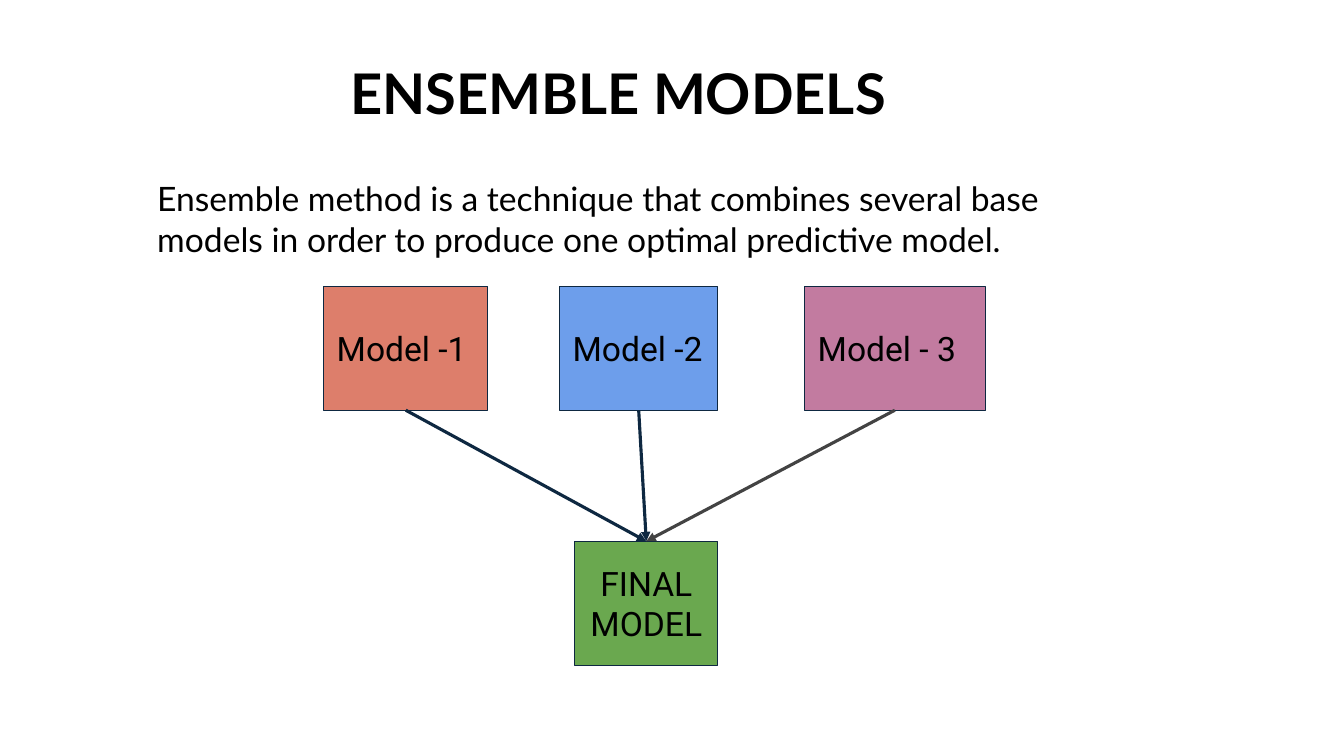
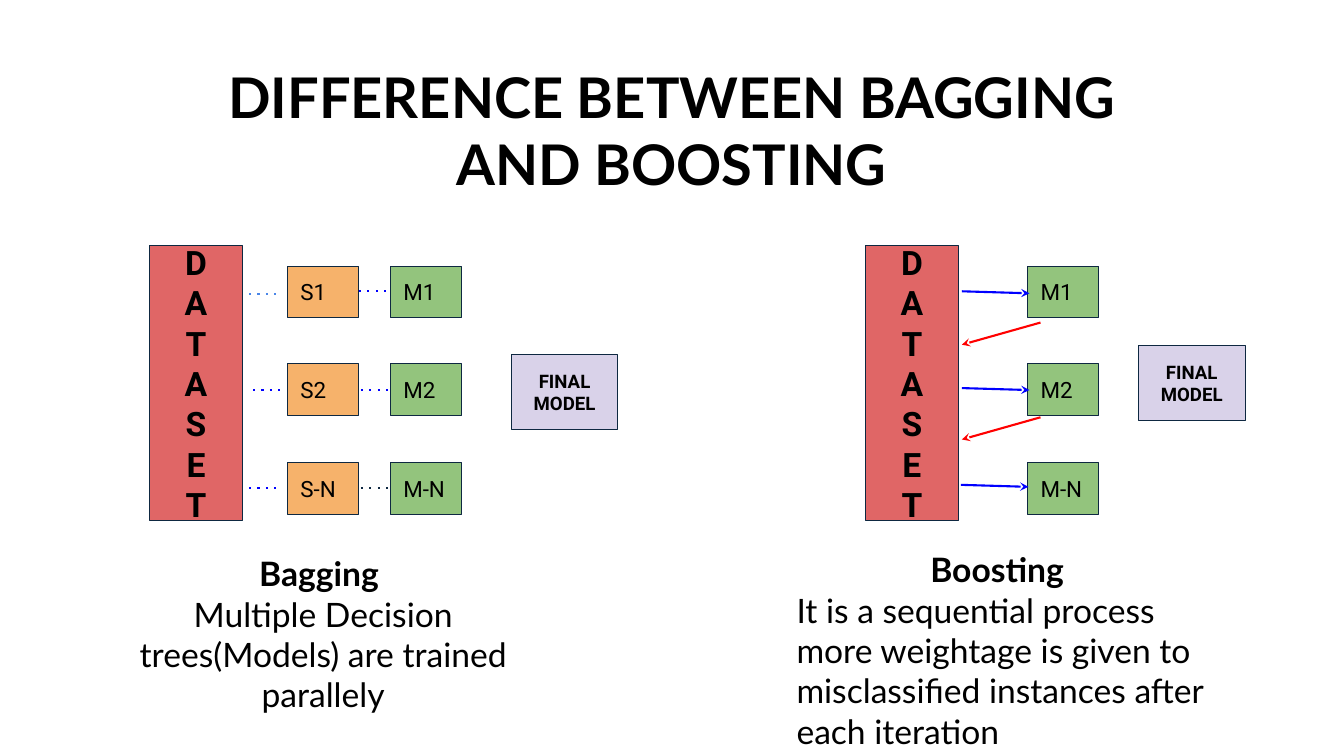
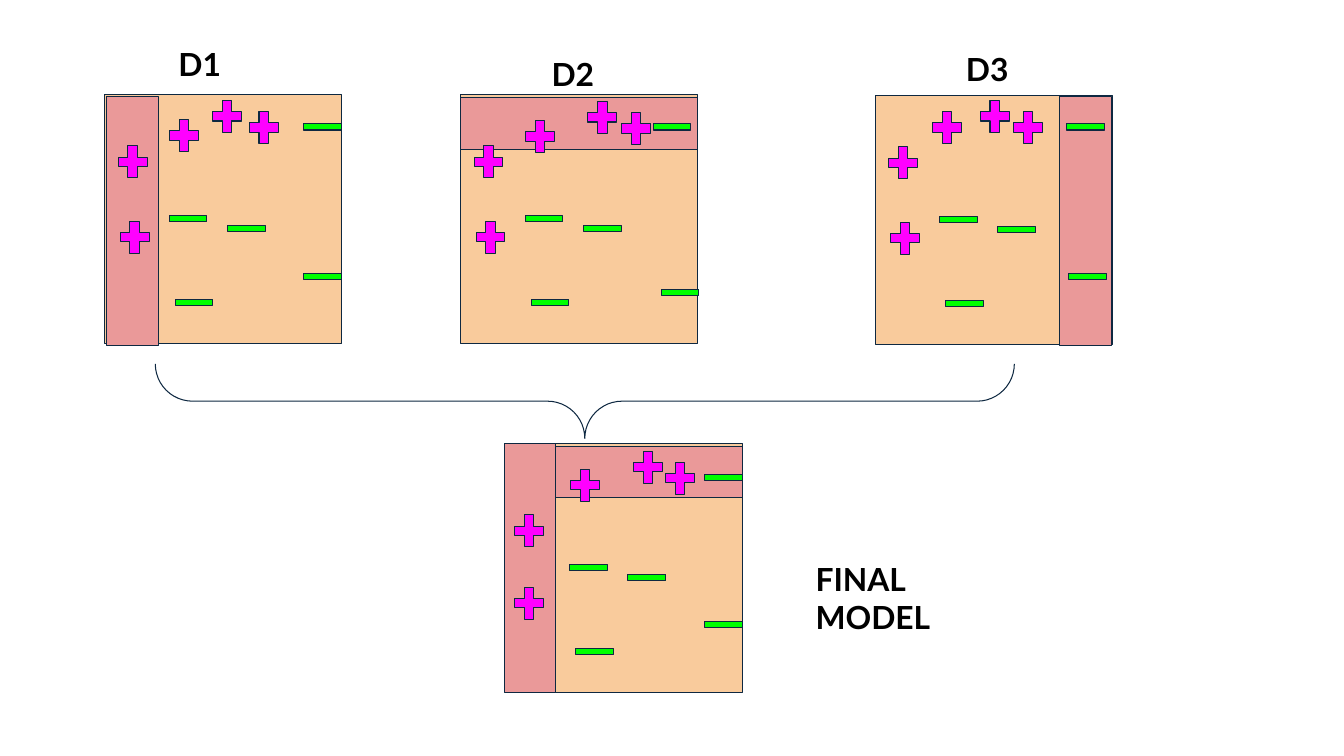
from dataclasses import dataclass
from lxml import etree
from pptx import Presentation
from pptx.dml.color import RGBColor
from pptx.enum.shapes import MSO_CONNECTOR, MSO_SHAPE
from pptx.enum.text import MSO_ANCHOR, MSO_AUTO_SIZE, PP_ALIGN
from pptx.oxml.ns import qn
from pptx.util import Inches, Pt

RECT, PLUS, MINUS = MSO_SHAPE.RECTANGLE, MSO_SHAPE.MATH_PLUS, MSO_SHAPE.MATH_MINUS
BRACE, STRAIGHT = MSO_SHAPE.LEFT_BRACE, MSO_CONNECTOR.STRAIGHT
LEFT, CENTER = PP_ALIGN.LEFT, PP_ALIGN.CENTER
TOP, MIDDLE, FIXED = MSO_ANCHOR.TOP, MSO_ANCHOR.MIDDLE, MSO_AUTO_SIZE.NONE
TITLE_ONLY, BLANK = 5, 6


@dataclass(frozen=True)
class Theme:
    head: str = "Lato"
    body: str = "Roboto"
    ink: str = "000000"
    edge: str = "0E2841"
    gray: str = "434343"
    coral: str = "DD7E6B"
    sky: str = "6D9EEB"
    mauve: str = "C27BA0"
    grass: str = "6AA84F"
    red: str = "E06666"
    orange: str = "F6B26B"
    green: str = "93C47D"
    lilac: str = "D9D2E9"
    blue: str = "0000FF"
    pale: str = "4A86E8"
    back: str = "FF0000"
    peach: str = "F9CB9C"
    pink: str = "EA9999"
    plus: str = "FF00FF"
    minus: str = "00FF00"
    title: float = 40
    text: float = 24
    label: float = 22.7
    small: float = 16
    tiny: float = 13.3
    thin: float = 0.75
    dots: float = 1.5
    thick: float = 2.25
    inset: float = 0.13


T = Theme()

# Slide 1: text, left, width, fill, arrow colour
MODELS = [
    ("Model -1", 3.21, 1.63, T.coral, T.edge),
    ("Model -2", 5.55, 1.57, T.sky, T.edge),
    ("Model - 3", 7.98, 1.79, T.mauve, T.gray),
]
INTRO = ("Ensemble method is a technique that combines several base models "
         "in order to produce one optimal predictive model.")

# Slide 2
ROWS = [2.64, 3.61, 4.59]
SAMPLES = ["S1", "S2", "S-N"]
TREES = ["M1", "M2", "M-N"]
CELL = (0.71, 0.51)
COLUMNS = [(2.85, SAMPLES, T.orange), (3.87, TREES, T.green), (10.19, TREES, T.green)]
DATA_X = [1.48, 8.58]
FINALS = [(5.07, 3.52), (11.29, 3.43)]
DOTS = [  # left, y, colour
    (2.47, 2.92, T.pale), (2.51, 3.87, T.blue), (2.47, 4.84, T.blue),
    (3.56, 2.89, T.blue), (3.58, 3.87, T.blue), (3.58, 4.84, T.edge),
]
FORTH = [(9.54, 2.89), (9.54, 3.85), (9.53, 4.81)]
BACK = [(10.32, 3.20), (10.32, 4.14)]
NOTES = [  # box, heading, body, body alignment
    ((1.19, 5.36, 4.03, 1.13), "Bagging ",
     "Multiple Decision trees(Models) are trained parallely", CENTER),
    ((7.77, 5.32, 4.32, 1.62), "Boosting ",
     "It is a sequential process more weightage is given to misclassified "
     "instances after each iteration", LEFT),
]

# Slide 3: places are offsets from the corner of each panel
PANEL = (2.35, 2.47)
TALL, WIDE = (0.51, 2.47), (2.35, 0.51)
CORE = [(1.15, 1.20), (0.63, 1.93), (0.57, 1.10)]  # minus signs in every panel
SIDE = [(0.10, 1.20), (0.08, 0.45)]
PANELS = [
    dict(at=(1.04, 0.94), bands=[(0.02, 0.02, *TALL)],
         plus=SIDE + [(0.59, 0.19), (1.02, 0), (1.38, 0.11)],
         minus=[(1.90, 0.19), (1.90, 1.67)]),
    dict(at=(4.57, 0.94), bands=[(0, 0.03, *WIDE)],
         plus=SIDE + [(0.59, 0.20), (1.21, 0.01), (1.54, 0.12)],
         minus=[(1.84, 0.19), (1.92, 1.83)]),
    dict(at=(8.68, 0.95), bands=[(1.83, 0.01, *TALL)],
         plus=SIDE + [(0.52, 0.10), (0.99, -0.01), (1.32, 0.10)],
         minus=[(1.83, 0.18), (1.85, 1.66)]),
    dict(at=(5.01, 4.40), bands=[(0, 0.03, *WIDE), (-0.01, 0, *TALL)],
         plus=[(0.04, 1.37), (0.04, 0.65), (0.60, 0.20), (1.22, 0.02), (1.54, 0.13)],
         minus=[(1.91, 0.21), (1.91, 1.67)]),
]
LABELS = [
    ("D1", (1.64, 0.31, 0.81, 0.43)),
    ("D2", (5.34, 0.41, 0.81, 0.43)),
    ("D3", (9.45, 0.36, 0.81, 0.43)),
    ("FINAL MODEL", (7.96, 5.42, 2.30, 0.65)),
]


def rgb(code):
    return RGBColor.from_string(code)


def write(shape, text, size, font, bold=False, align=LEFT, anchor=TOP):
    frame = shape.text_frame
    frame.text = text
    frame.word_wrap = True
    frame.auto_size = FIXED
    frame.vertical_anchor = anchor
    frame.margin_left = frame.margin_right = Inches(T.inset)
    frame.margin_top = frame.margin_bottom = Inches(T.inset)
    for para in frame.paragraphs:
        para.alignment = align
        para.font.name = font
        para.font.size = Pt(size)
        para.font.bold = bold
        para.font.color.rgb = rgb(T.ink)
    return frame


def put_title(slide, text, at):
    title = slide.shapes.title
    title.left, title.top, title.width, title.height = map(Inches, at)
    write(title, text, T.title, T.head, True, CENTER)


def put_text(slide, text, at, size, bold=False):
    box = slide.shapes.add_textbox(*map(Inches, at))
    return write(box, text, size, T.head, bold)


def put_shape(slide, kind, at, fill=None):
    shape = slide.shapes.add_shape(kind, *map(Inches, at))
    shape.shadow.inherit = False
    if fill:
        shape.fill.solid()
        shape.fill.fore_color.rgb = rgb(fill)
    else:
        shape.fill.background()
    shape.line.color.rgb = rgb(T.edge)
    shape.line.width = Pt(T.thin)
    return shape


def put_box(slide, text, at, fill, size, bold=False, align=LEFT):
    box = put_shape(slide, RECT, at, fill)
    write(box, text, size, T.body, bold, align, MIDDLE)
    return box


def put_line(slide, start, end, color, width, dash=None, head=None):
    link = slide.shapes.add_connector(STRAIGHT, *map(Inches, (*start, *end)))
    link.line.color.rgb = rgb(color)
    link.line.width = Pt(width)
    stroke = link.line._get_or_add_ln()
    if dash:
        etree.SubElement(stroke, qn("a:prstDash"), val=dash)
    if head:
        etree.SubElement(stroke, qn("a:tailEnd"), type=head)
    etree.SubElement(link._element.spPr, qn("a:effectLst"))
    return link


def draw_models(slide):
    put_title(slide, "ENSEMBLE MODELS", (1.83, 0.45, 8.6, 1.04))
    put_text(slide, INTRO, (1.43, 1.64, 9.4, 1.04), T.text)
    top, low, high = 2.84, 5.37, 1.23
    final = put_box(slide, "FINAL MODEL", (5.7, low, 1.42, high), T.grass,
                    T.text, align=CENTER)
    for text, left, width, fill, color in MODELS:
        box = put_box(slide, text, (left, top, width, high), fill, T.text)
        link = put_line(slide, (left, top + high), (5.7, low), color, T.thick,
                        head="triangle")
        link.begin_connect(box, 2)
        link.end_connect(final, 0)


def draw_methods(slide):
    put_title(slide, "DIFFERENCE BETWEEN BAGGING AND BOOSTING", (2.04, 0.49, 9.24, 1.46))
    for left in DATA_X:
        put_box(slide, "\n".join("DATASET"), (left, 2.44, 0.93, 2.72), T.red,
                T.text, True, CENTER)
    for left, names, fill in COLUMNS:
        for name, top in zip(names, ROWS):
            put_box(slide, name, (left, top, *CELL), fill, T.small)
    for x, y, color in DOTS:
        put_line(slide, (x, y), (x + 0.31, y), color, T.dots, dash="dot")
    for x, y in FORTH:
        put_line(slide, (x, y), (x + 0.67, y + 0.02), T.blue, T.dots, head="stealth")
    for x, y in BACK:
        put_line(slide, (x, y), (x - 0.78, y + 0.22), T.back, T.dots, head="stealth")
    for at, head, body, align in NOTES:
        first, last = put_text(slide, f"{head}\n{body}", at, T.text).paragraphs
        first.font.bold = True
        first.alignment = CENTER
        last.alignment = align
    for spot in FINALS:
        put_box(slide, "FINAL MODEL", (*spot, 1.06, 0.74), T.lilac, T.tiny, True, CENTER)


def draw_panel(slide, at, bands, plus, minus):
    left, top = at
    put_shape(slide, RECT, (left, top, *PANEL), T.peach)
    for x, y, width, height in bands:
        put_shape(slide, RECT, (left + x, top + y, width, height), T.pink)
    for kind, spots, size, fill in (
        (PLUS, plus, (0.39, 0.43), T.plus),
        (MINUS, CORE + minus, (0.51, 0.26), T.minus),
    ):
        for x, y in spots:
            put_shape(slide, kind, (left + x, top + y, *size), fill)


def draw_steps(slide):
    for panel in PANELS:
        draw_panel(slide, **panel)
    brace = put_shape(slide, BRACE, (5.43, -0.28, 0.74, 8.52))
    brace.rotation = 270
    brace.adjustments[0] = brace.adjustments[1] = 0.5
    for text, at in LABELS:
        put_text(slide, text, at, T.label, True)


def main():
    deck = Presentation()
    deck.slide_width, deck.slide_height = Inches(13.33), Inches(7.5)
    for draw, layout in (
        (draw_models, TITLE_ONLY), (draw_methods, TITLE_ONLY), (draw_steps, BLANK),
    ):
        draw(deck.slides.add_slide(deck.slide_layouts[layout]))
    deck.save("out.pptx")


if __name__ == "__main__":
    main()
